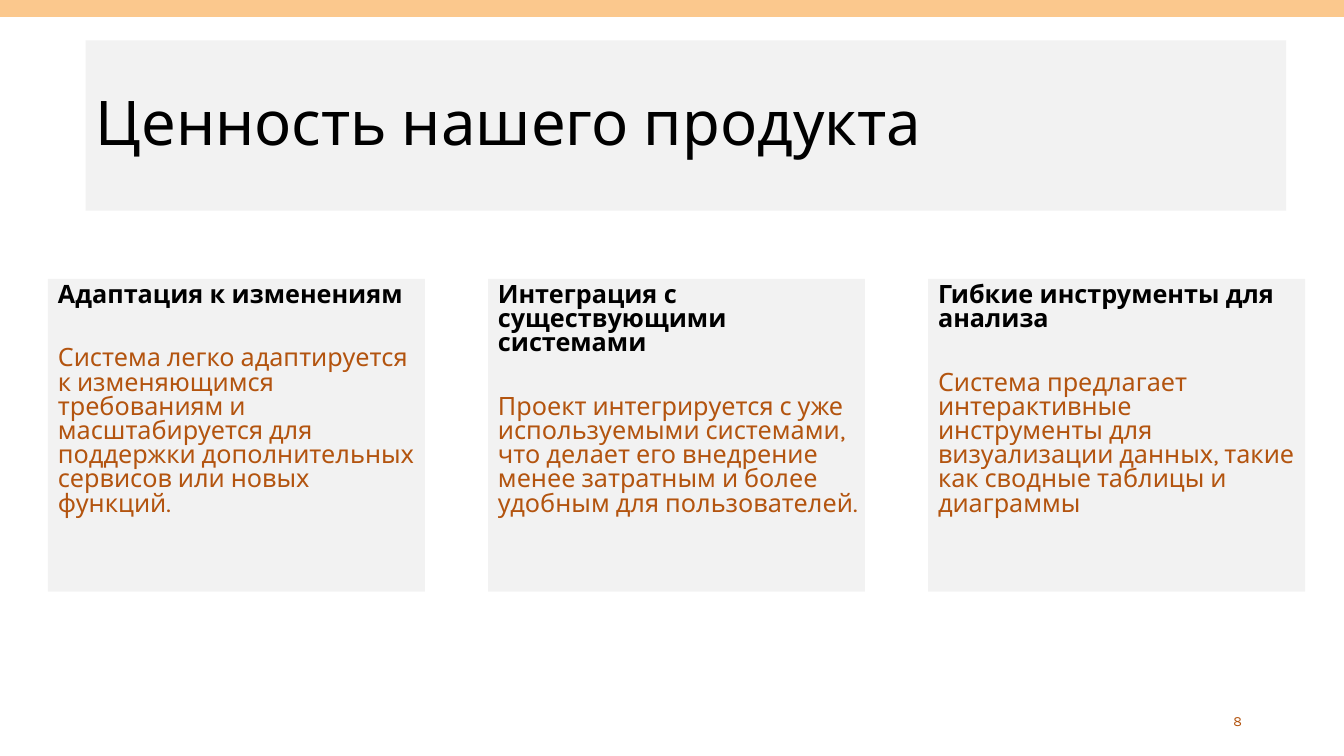
from lxml.etree import SubElement
from pptx import Presentation
from pptx.dml.color import RGBColor
from pptx.enum.shapes import MSO_SHAPE as Shape
from pptx.enum.text import MSO_ANCHOR as Anchor, MSO_AUTO_SIZE as AutoSize, PP_ALIGN as Align
from pptx.oxml.ns import qn
from pptx.util import Cm, Pt

BLACK, BROWN, ORANGE, GREY = "000000", "B3540F", "F8931D", "F2F2F2"
CARDS = [
    ("Адаптация к изменениям",
     "Система легко адаптируется к изменяющимся требованиям и масштабируется "
     "для поддержки дополнительных сервисов или новых функций."),
    ("Интеграция с существующими системами",
     "Проект интегрируется с уже используемыми системами, что делает его "
     "внедрение менее затратным и более удобным для пользователей."),
    ("Гибкие инструменты для анализа",
     "Система предлагает интерактивные инструменты для визуализации данных, "
     "такие как сводные таблицы и диаграммы"),
]
CARD_LEFT, CARD_TOP, CARD_WIDTH, CARD_HEIGHT, CARD_STEP = 1.21, 7.03, 9.5, 7.88, 11.09


def paint(fill, color, opacity=100):
    """Give a fill a solid hex colour with an opacity in percent."""
    fill.solid()
    fill.fore_color.rgb = RGBColor.from_string(color)
    if opacity < 100:
        tone = fill._xPr.find(qn("a:solidFill"))[0]
        SubElement(tone, qn("a:alpha")).set("val", str(opacity * 1000))


def write(para, text, size=18, color=BLACK, bold=False, align=Align.LEFT,
          line=1.0, before=0, after=0, tracking=0):
    """Put formatted text into a paragraph."""
    para.alignment, para.line_spacing = align, line
    para.space_before, para.space_after = Pt(before), Pt(after)
    span = para.add_run()
    span.text = text
    span.font.name, span.font.size, span.font.bold = "Karla", Pt(size), bold
    span.font.color.rgb = RGBColor.from_string(color)
    if tracking:
        span._r.get_or_add_rPr().set("spc", str(int(tracking * 100)))


class Page:
    """Hold the current slide and draw its elements in one style."""

    def __init__(self, deck):
        """Add a slide with a title placeholder."""
        self.slide = deck.slides.add_slide(deck.slide_layouts[5])

    def title(self, text, left, top, width, height):
        """Move, fill and write the title placeholder."""
        box = self.slide.shapes.title
        box.left, box.top, box.width, box.height = map(Cm, (left, top, width, height))
        paint(box.fill, GREY)
        frame = box.text_frame
        frame.auto_size, frame.vertical_anchor = AutoSize.NONE, Anchor.MIDDLE
        write(frame.paragraphs[0], text, size=44, line=0.9)

    def panel(self, left, top, width, height, color, opacity):
        """Draw a borderless translucent rectangle."""
        box = self.slide.shapes.add_shape(Shape.RECTANGLE, *map(Cm, (left, top, width, height)))
        box.shadow.inherit = False
        box.line.fill.background()
        paint(box.fill, color, opacity)
        return box

    def card(self, left, heading, detail):
        """Draw a panel with a bold heading and a description."""
        frame = self.panel(left, CARD_TOP, CARD_WIDTH, CARD_HEIGHT, BLACK, 5).text_frame
        frame.word_wrap, frame.vertical_anchor = True, Anchor.TOP
        frame.margin_left = Cm(0.25)
        frame.margin_top = frame.margin_right = frame.margin_bottom = Cm(0.13)
        spacing = {"line": 0.8, "before": 10, "after": 18}
        write(frame.paragraphs[0], heading, bold=True, **spacing)
        write(frame.add_paragraph(), detail, color=BROWN, **spacing)

    def number(self, text, left, top, width, height):
        """Write the page number."""
        box = self.slide.shapes.add_textbox(*map(Cm, (left, top, width, height)))
        frame = box.text_frame
        frame.word_wrap, frame.vertical_anchor = True, Anchor.MIDDLE
        write(frame.paragraphs[0], text, size=10, color=BROWN, align=Align.RIGHT, tracking=1.5)


def main():
    """Build the slide and save it."""
    deck = Presentation()
    deck.slide_width, deck.slide_height = Cm(33.87), Cm(19.05)
    page = Page(deck)
    page.panel(0, 0, 33.87, 0.43, ORANGE, 50)
    page.title("Ценность нашего продукта", 2.16, 1.02, 30.25, 4.29)
    for index, (heading, detail) in enumerate(CARDS):
        page.card(CARD_LEFT + index * CARD_STEP, heading, detail)
    page.number("8", 23.93, 17.65, 7.62, 1.02)
    deck.save("out.pptx")


if __name__ == "__main__":
    main()
